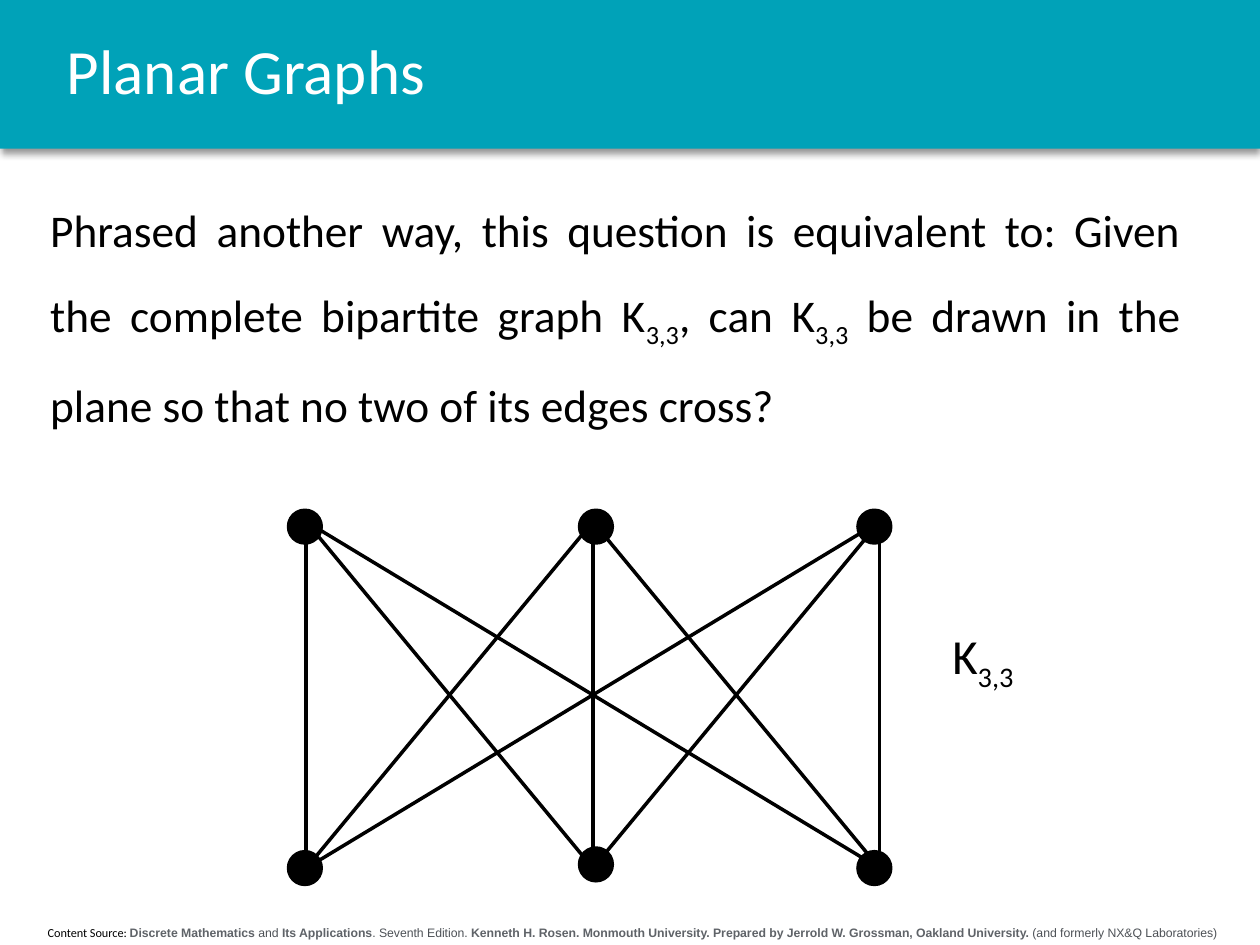
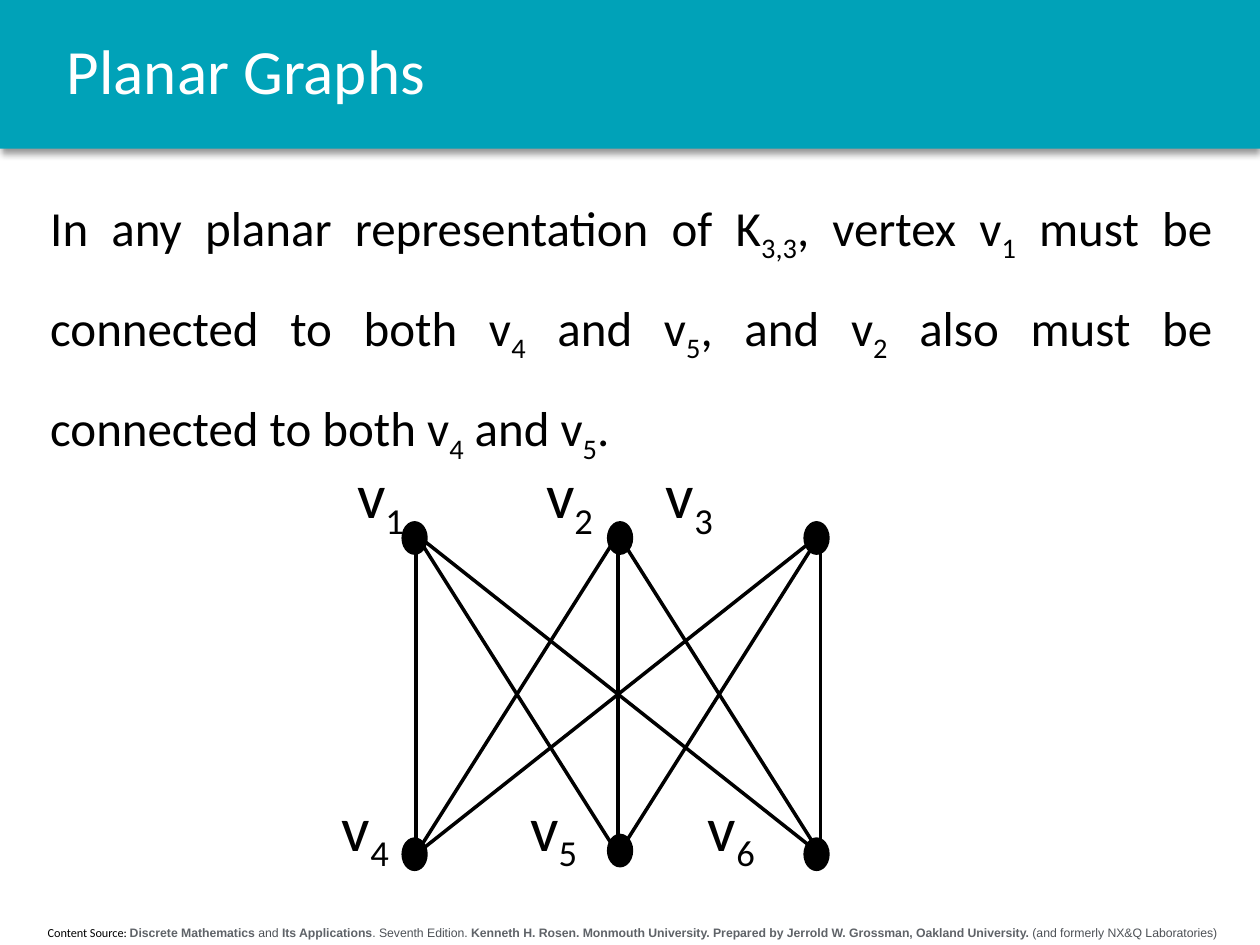
from dataclasses import dataclass
from itertools import product

from lxml.etree import SubElement
from pptx import Presentation
from pptx.dml.color import RGBColor
from pptx.enum.shapes import MSO_CONNECTOR, MSO_SHAPE
from pptx.enum.text import MSO_ANCHOR, MSO_AUTO_SIZE, PP_ALIGN
from pptx.oxml.ns import qn
from pptx.util import Pt


@dataclass(frozen=True)
class Theme:
    band: str = "00A2B8"
    ink: str = "000000"
    paper: str = "FFFFFF"
    strong_gray: str = "5F6368"
    soft_gray: str = "4D5156"
    font: str = "Calibri"
    credit_font: str = "Arial"
    title_size: float = 36
    graph_name_size: float = 28
    vertex_size: float = 36
    credit_size: float = 7
    line_width: float = 2


THEME = Theme()
WIDTH, HEIGHT, BAND_HEIGHT = 720, 540, 85

# Content: text between bars is lowered in body and labels, bold in the credit
TITLE = "Planar Graphs"
CREDIT_LEAD = "Content Source: "
CREDIT = ("|Discrete Mathematics|\u00a0and\u00a0|Its Applications|. Seventh Edition.\u00a0|"
          "Kenneth H.\u00a0Rosen. Monmouth University. Prepared by Jerrold W. Grossman, "
          "Oakland University.| (and formerly NX&Q Laboratories)")

SLIDES = [
    {
        "body": "Phrased another way, this question is equivalent to: Given the complete "
                "bipartite graph K|3,3|, can K|3,3| be drawn in the plane so that no two "
                "of its edges cross?",
        "body_box": (21.6, 96.5, 660.2, 156.2),
        "body_size": 25.9,
        "graph": {
            "first_column": 175, "column_gap": 163.8, "rows": (298.1, 496.1),
            "dot_lefts": (164.9, 331.2, 490.3), "dot_tops": (291.6, 486.7),
            "dot_size": (18.7, 18.7),
        },
        "graph_name": ("K|3,3|", (537.1, 354.2, 77.8, 41)),
        "vertices": [],
    },
    {
        "body": "In any planar representation of K|3,3|, vertex v|1| must be connected to "
                "both v|4| and v|5|, and v|2| also must be connected to both v|4| and v|5|.",
        "body_box": (21.6, 90, 678.2, 180),
        "body_size": 28,
        "graph": {
            "first_column": 237.6, "column_gap": 115.6, "rows": (305.3, 488.2),
            "dot_lefts": (230.4, 347.8, 460.1), "dot_tops": (298.8, 479.5),
            "dot_size": (13, 17.3),
        },
        "graph_name": None,
        "vertices": [
            (260.6, {"v|1|": 204, "v|2|": 312, "v|3|": 380.5}),
            (450.4, {"v|4|": 195.4, "v|5|": 303, "v|6|": 404.5}),
        ],
    },
]
MIDDLE_DOT_LIFT = 2.1


def color(value):
    return RGBColor.from_string(value)


def points(box):
    return [Pt(length) for length in box]


# Text helpers
def add_run(paragraph, text, *, size, ink=THEME.ink, font=THEME.font, bold=False,
            lowered=False):
    run = paragraph.add_run()
    run.text = text
    run.font.size = Pt(size)
    run.font.name = font
    run.font.bold = bold
    run.font.color.rgb = color(ink)
    if lowered:
        run.font._rPr.set("baseline", "-25000")


def write(shape, text, *, align=PP_ALIGN.LEFT, spacing=1.0, before=0, anchor=MSO_ANCHOR.TOP,
          inset=None, **format):
    """Write text in a shape, lowering each part that stands between bars."""
    frame = shape.text_frame
    frame.word_wrap = True
    frame.auto_size = MSO_AUTO_SIZE.NONE
    frame.vertical_anchor = anchor
    if inset is not None:
        frame.margin_left = frame.margin_right = Pt(inset)
        frame.margin_top = frame.margin_bottom = Pt(inset)
    paragraph = frame.paragraphs[0]
    paragraph.alignment = align
    paragraph.line_spacing = spacing
    paragraph.space_before = Pt(before)
    for index, part in enumerate(text.split("|")):
        if part:
            add_run(paragraph, part, lowered=index % 2 == 1, **format)
    return paragraph


def add_text(slide, text, box, **format):
    return write(slide.shapes.add_textbox(*points(box)), text, **format)


# Shared band and credit line, kept on the layout
def add_band(slide):
    band = slide.shapes.add_shape(MSO_SHAPE.RECTANGLE, *points((0, 0, WIDTH, BAND_HEIGHT)))
    band.fill.solid()
    band.fill.fore_color.rgb = color(THEME.band)
    band.line.fill.background()
    band.shadow.inherit = False
    effects = band.element.spPr.find(qn("a:effectLst"))
    shadow = SubElement(effects, qn("a:outerShdw"), blurRad=str(Pt(4)), dist=str(Pt(3)),
                        dir="5400000", algn="t", rotWithShape="0")
    tint = SubElement(shadow, qn("a:srgbClr"), val=THEME.ink)
    SubElement(tint, qn("a:alpha"), val="40000")
    return band


def add_credit(slide):
    credit = slide.shapes.add_textbox(*points((2.9, 524.9, 717.1, 15.8)))
    paragraph = write(credit, CREDIT_LEAD, align=PP_ALIGN.CENTER, size=THEME.credit_size)
    for index, part in enumerate(CREDIT.split("|")):
        if part:
            strong = index % 2 == 1
            add_run(paragraph, part, size=THEME.credit_size, font=THEME.credit_font,
                    bold=strong, ink=THEME.strong_gray if strong else THEME.soft_gray)
    return credit


def move_to_layout(shapes, layout):
    for offset, shape in enumerate(shapes):
        shape.element.xpath(".//p:cNvPr")[0].set("id", str(100 + offset))
        layout.shapes.element.insert(2 + offset, shape.element)


# Bipartite graph: every top vertex joins every bottom vertex
def add_edge(slide, start, end):
    edge = slide.shapes.add_connector(MSO_CONNECTOR.STRAIGHT, *points(start + end))
    edge.line.color.rgb = color(THEME.ink)
    edge.line.width = Pt(THEME.line_width)
    SubElement(edge.element.spPr, qn("a:effectLst"))


def add_dot(slide, box):
    dot = slide.shapes.add_shape(MSO_SHAPE.OVAL, *points(box))
    dot.shadow.inherit = False
    dot.fill.solid()
    dot.fill.fore_color.rgb = color(THEME.ink)
    dot.line.color.rgb = color(THEME.ink)
    dot.line.width = Pt(THEME.line_width)


def add_graph(slide, graph):
    columns = [graph["first_column"] + graph["column_gap"] * index for index in range(3)]
    top, bottom = graph["rows"]
    for upper, lower in product(columns, repeat=2):
        add_edge(slide, (upper, top), (lower, bottom))
    for row, dot_top in enumerate(graph["dot_tops"]):
        for column, left in enumerate(graph["dot_lefts"]):
            lift = MIDDLE_DOT_LIFT if (row, column) == (1, 1) else 0
            add_dot(slide, (left, dot_top - lift) + graph["dot_size"])


def add_content(slide, content):
    title = slide.shapes.title
    title.left, title.top, title.width, title.height = points((31, 0, 669.6, BAND_HEIGHT))
    write(title, TITLE, spacing=0.9, anchor=MSO_ANCHOR.MIDDLE,
          size=THEME.title_size, ink=THEME.paper)
    add_text(slide, content["body"], content["body_box"], align=PP_ALIGN.JUSTIFY,
             spacing=1.5, before=10, size=content["body_size"])
    add_graph(slide, content["graph"])
    if content["graph_name"]:
        add_text(slide, *content["graph_name"], size=THEME.graph_name_size)
    for top, labels in content["vertices"]:
        for label, left in labels.items():
            add_text(slide, label, (left, top, 40, 44), inset=0, size=THEME.vertex_size)


def main():
    presentation = Presentation()
    presentation.slide_width, presentation.slide_height = Pt(WIDTH), Pt(HEIGHT)
    layout = presentation.slide_layouts[5]
    slides = [presentation.slides.add_slide(layout) for _ in SLIDES]
    move_to_layout([add_band(slides[0]), add_credit(slides[0])], layout)
    for slide, content in zip(slides, SLIDES):
        add_content(slide, content)
    presentation.save("out.pptx")


if __name__ == "__main__":
    main()
